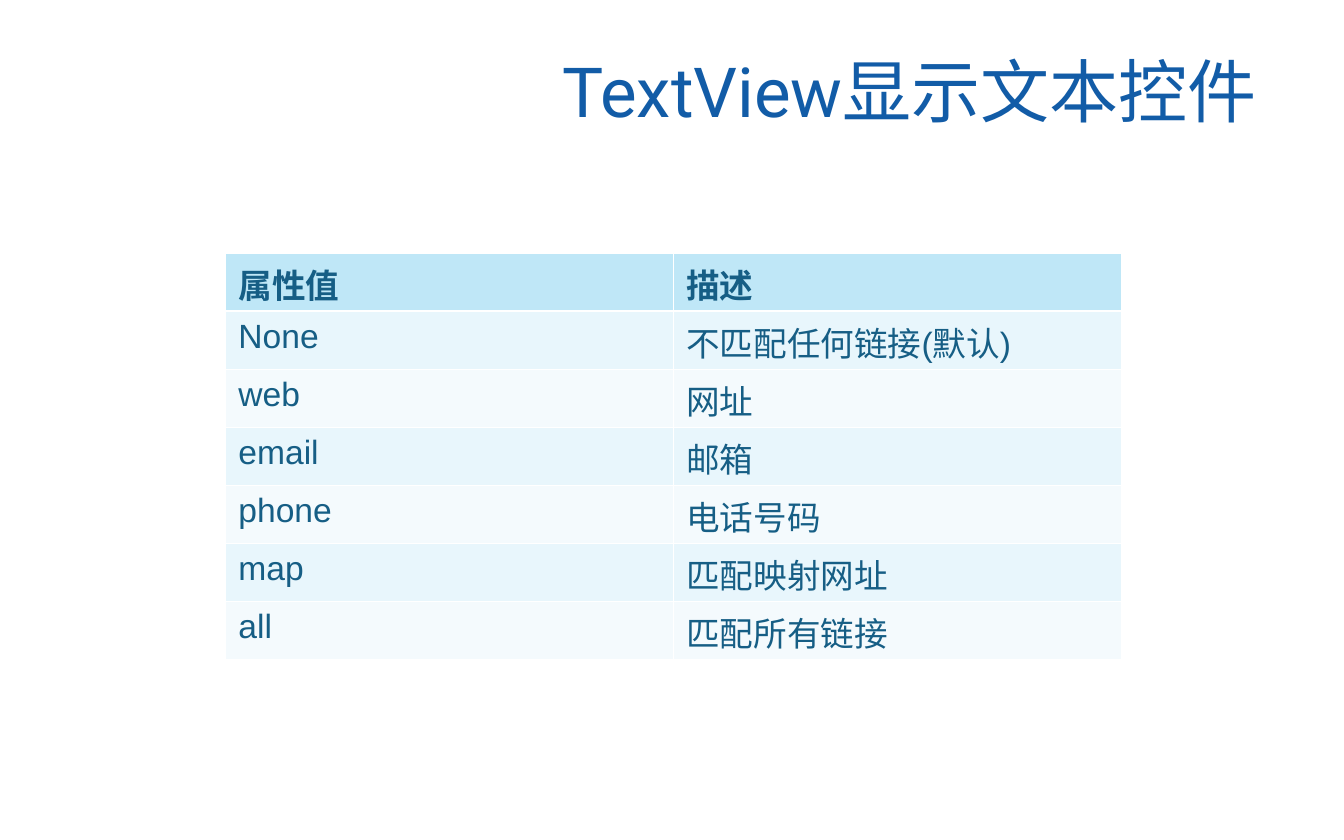
from dataclasses import dataclass

from lxml import etree
from pptx import Presentation
from pptx.dml.color import RGBColor
from pptx.enum import text
from pptx.oxml.ns import qn
from pptx.util import Emu, Pt

EMU_PER_PX = 914400 / 134.4
WHITE = "FFFFFF"
TITLE_BLUE = "125CA7"
TABLE_BLUE = "165E85"
HEADER_FILL = "BFE7F7"
BAND_FILLS = ("E8F6FC", "F4FAFD")
THIN, THICK = 0.45, 1.47


@dataclass(frozen=True)
class Box:
    left: int
    top: int
    width: int
    height: int

    def emu(self) -> tuple[Emu, ...]:
        return tuple(px(n) for n in (self.left, self.top, self.width, self.height))


@dataclass(frozen=True)
class TextStyle:
    font: str
    size: int
    color: str
    bold: bool = False


@dataclass(frozen=True)
class Attribute:
    value: str
    description: str


TITLE_STYLE = TextStyle("Roboto", 37, TITLE_BLUE)
HEADER_STYLE = TextStyle("Arial", 18, TABLE_BLUE, bold=True)
BODY_STYLE = TextStyle("Arial", 18, TABLE_BLUE)

HEADER = Attribute("属性值", "描述")
ATTRIBUTES = [
    Attribute("None", "不匹配任何链接(默认)"),
    Attribute("web", "网址"),
    Attribute("email", "邮箱"),
    Attribute("phone", "电话号码"),
    Attribute("map", "匹配映射网址"),
    Attribute("all", "匹配所有链接"),
]


def px(length: int) -> Emu:
    return Emu(round(length * EMU_PER_PX))


def rgb(color: str) -> RGBColor:
    return RGBColor.from_string(color)


def write(paragraph, content: str, style: TextStyle) -> None:
    paragraph.text = content
    font = paragraph.runs[0].font
    font.name, font.size, font.bold = style.font, Pt(style.size), style.bold
    font.color.rgb = rgb(style.color)


def set_borders(cell, top: float, bottom: float) -> None:
    """Put white lines, widths in points, ahead of the cell's fill."""
    properties = cell._tc.get_or_add_tcPr()
    sides = {"lnL": THIN, "lnR": THIN, "lnT": top, "lnB": bottom}
    for index, (side, width) in enumerate(sides.items()):
        line = etree.Element(qn(f"a:{side}"), w=str(Pt(width)))
        fill = etree.SubElement(line, qn("a:solidFill"))
        etree.SubElement(fill, qn("a:srgbClr"), val=WHITE)
        properties.insert(index, line)


def add_title(slide, content: str, box: Box) -> None:
    text_frame = slide.shapes.add_textbox(*box.emu()).text_frame
    text_frame.word_wrap = True
    text_frame.vertical_anchor = text.MSO_ANCHOR.MIDDLE
    paragraph = text_frame.paragraphs[0]
    paragraph.alignment = text.PP_ALIGN.RIGHT
    paragraph.line_spacing = 0.9
    write(paragraph, content, TITLE_STYLE)


def add_attribute_table(slide, attributes: list[Attribute], box: Box) -> None:
    rows = [HEADER, *attributes]
    table = slide.shapes.add_table(len(rows), 2, *box.emu()).table
    for index, attribute in enumerate(rows):
        is_header = index == 0
        fill = HEADER_FILL if is_header else BAND_FILLS[(index - 1) % 2]
        style = HEADER_STYLE if is_header else BODY_STYLE
        for column, content in enumerate((attribute.value, attribute.description)):
            cell = table.cell(index, column)
            write(cell.text_frame.paragraphs[0], content, style)
            cell.fill.solid()
            cell.fill.fore_color.rgb = rgb(fill)
            set_borders(
                cell,
                top=THICK if index == 1 else THIN,
                bottom=THICK if is_header else THIN,
            )


def main() -> None:
    presentation = Presentation()
    presentation.slide_width, presentation.slide_height = px(1344), px(840)
    slide = presentation.slides.add_slide(presentation.slide_layouts[6])
    add_title(slide, "TextView显示文本控件", Box(60, 11, 1210, 168))
    add_attribute_table(slide, ATTRIBUTES, Box(225, 253, 896, 406))
    presentation.save("out.pptx")


if __name__ == "__main__":
    main()
